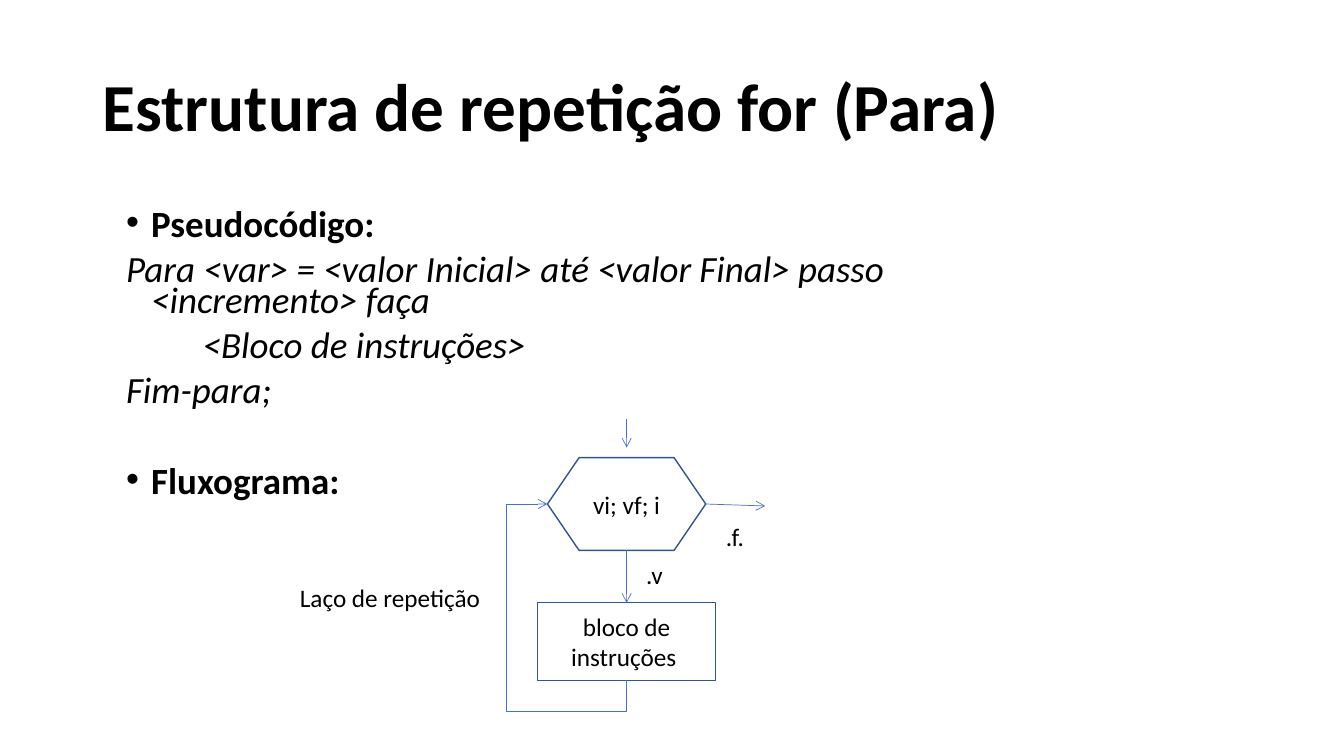
from lxml import etree
from pptx import Presentation
from pptx.dml.color import RGBColor
from pptx.enum.shapes import MSO_CONNECTOR, MSO_SHAPE
from pptx.enum.text import MSO_ANCHOR, MSO_AUTO_SIZE, PP_ALIGN
from pptx.oxml.ns import qn
from pptx.util import Inches, Pt

STRAIGHT, ELBOW = MSO_CONNECTOR.STRAIGHT, MSO_CONNECTOR.ELBOW
HEXAGON = MSO_SHAPE.FLOWCHART_PREPARATION
RECTANGLE, ROUNDED = MSO_SHAPE.RECTANGLE, MSO_SHAPE.ROUNDED_RECTANGLE
LEFT, CENTER, RIGHT = PP_ALIGN.LEFT, PP_ALIGN.CENTER, PP_ALIGN.RIGHT
TOP, MIDDLE = MSO_ANCHOR.TOP, MSO_ANCHOR.MIDDLE
SIDE_TOP, SIDE_LEFT, SIDE_BOTTOM, SIDE_RIGHT = range(4)

# Content
FONT = "Calibri"
COLORS = {"text": "000000", "fill": "FFFFFF", "outline": "325491", "arrow": "4472C4"}
TITLE = "Estrutura de repetição for (Para)"
# text, kind, left margin, first-line indent (inches), space before (points)
BODY = [
    ("Pseudocódigo:", "heading", 0.25, -0.25, 10),
    ("Para <var> = <valor Inicial> até <valor Final> passo <incremento> faça",
     "code", 0.25, -0.25, 10),
    ("<Bloco de instruções>", "code", 0.76, 0, 10),
    ("Fim-para;", "code", 0.25, -0.25, 10),
    ("Fluxograma:", "heading", 0.25, -0.25, 42.5),
]
LABELS = [(".v", 6.31, 5.5, 0.5, 0.5), (".f.", 7.1, 5.12, 0.52, 0.5)]

# Layout in inches
WIDTH, HEIGHT = 13.33, 7.5
AXIS = 6.215
TEST_TOP, TEST_WIDTH, TEST_HEIGHT = 4.54, 1.57, 0.92
BLOCK_TOP, BLOCK_WIDTH, BLOCK_HEIGHT = 5.98, 1.77, 0.77
LOOP_LEFT, LOOP_BOTTOM = 5.02, 7.06


def color(name):
    return RGBColor.from_string(COLORS[name])


def place(shape, left, top, width, height):
    shape.left, shape.top = Inches(left), Inches(top)
    shape.width, shape.height = Inches(width), Inches(height)


def write(para, text, size, align=LEFT, bold=False, italic=False):
    para.text = text
    para.alignment = align
    for span in para.runs:
        font = span.font
        font.name, font.size = FONT, Pt(size)
        font.bold, font.italic = bold, italic
        font.color.rgb = color("text")


def add_box(page, kind, text, left, top, width, height, align=CENTER, outlined=True):
    box = page.shapes.add_shape(kind, *map(Inches, (left, top, width, height)))
    box.shadow.inherit = False
    box.fill.solid()
    box.fill.fore_color.rgb = color("fill")
    if outlined:
        box.line.color.rgb = color("outline")
        box.line.width = Pt(1)
    else:
        box.line.fill.background()
    box.text_frame.word_wrap = True
    box.text_frame.vertical_anchor = MIDDLE
    write(box.text_frame.paragraphs[0], text, 18, align)
    return box


def add_arrow(page, kind, start, end):
    arrow = page.shapes.add_connector(kind, *map(Inches, start + end))
    arrow.line.color.rgb = color("arrow")
    arrow.line.width = Pt(0.5)
    etree.SubElement(arrow.line._get_or_add_ln(), qn("a:tailEnd"), type="arrow")
    etree.SubElement(arrow._element.spPr, qn("a:effectLst"))
    return arrow


def add_loop(page, block, test):
    """Four-part elbow, turned a quarter, from below the block back to the test."""
    start = AXIS, BLOCK_TOP + BLOCK_HEIGHT
    end = AXIS - TEST_WIDTH / 2, TEST_TOP + TEST_HEIGHT / 2
    loop = add_arrow(page, ELBOW, start, end)
    loop.begin_connect(block, SIDE_BOTTOM)
    loop.end_connect(test, SIDE_LEFT)
    across, rise = start[0] - end[0], start[1] - end[1]
    middle_x, middle_y = (start[0] + end[0]) / 2, (start[1] + end[1]) / 2
    place(loop, middle_x - rise / 2, middle_y - across / 2, rise, across)
    frame = loop._element.spPr.find(qn("a:xfrm"))
    frame.attrib.pop("flipV", None)
    frame.set("rot", "5400000")
    frame.set("flipH", "1")
    geometry = loop._element.spPr.find(qn("a:prstGeom"))
    geometry.set("prst", "bentConnector4")
    guides = geometry.find(qn("a:avLst"))
    bends = (start[1] - LOOP_BOTTOM) / rise, (start[0] - LOOP_LEFT) / across
    for number, bend in enumerate(bends, 1):
        etree.SubElement(guides, qn("a:gd"), name=f"adj{number}",
                         fmla=f"val {round(bend * 100000)}")


def add_title(page):
    title = page.shapes.title
    place(title, 0.92, 0.36, 11.5, 1.45)
    title.text_frame.auto_size = MSO_AUTO_SIZE.NONE
    title.text_frame.vertical_anchor = MIDDLE
    para = title.text_frame.paragraphs[0]
    write(para, TITLE, 48, bold=True)
    para.line_spacing = 0.9


def add_body(page):
    body = page.placeholders[1]
    place(body, 1.15, 2.06, 9.61, 3.15)
    frame = body.text_frame
    frame.auto_size = MSO_AUTO_SIZE.NONE
    frame.vertical_anchor = TOP
    frame.text = "\n".join(row[0] for row in BODY)
    for para, (text, kind, margin, indent, before) in zip(frame.paragraphs, BODY):
        heading = kind == "heading"
        write(para, text, 26.4, bold=heading, italic=not heading)
        para.line_spacing = 0.7
        para.space_before = Pt(before)
        para.space_after = Pt(0)
        settings = para._p.get_or_add_pPr()
        settings.set("marL", str(Inches(margin)))
        settings.set("indent", str(Inches(indent)))
        if heading:
            etree.SubElement(settings, qn("a:buFont"), typeface="Arial")
            etree.SubElement(settings, qn("a:buChar"), char="•")
        else:
            etree.SubElement(settings, qn("a:buNone"))


def add_flowchart(page):
    test = add_box(page, HEXAGON, "vi; vf; i", AXIS - TEST_WIDTH / 2, TEST_TOP,
                   TEST_WIDTH, TEST_HEIGHT)
    block = add_box(page, RECTANGLE, "bloco de instruções ", AXIS - BLOCK_WIDTH / 2,
                    BLOCK_TOP, BLOCK_WIDTH, BLOCK_HEIGHT)
    down = add_arrow(page, STRAIGHT, (AXIS, TEST_TOP + TEST_HEIGHT), (AXIS, BLOCK_TOP))
    down.begin_connect(test, SIDE_BOTTOM)
    down.end_connect(block, SIDE_TOP)
    add_loop(page, block, test)
    add_box(page, ROUNDED, "Laço de repetição", 2.58, 5.31, 2.34, 1.23, RIGHT, False)
    leave = add_arrow(page, STRAIGHT, (7, 5), (7.59, 5.02))
    leave.begin_connect(test, SIDE_RIGHT)
    add_arrow(page, STRAIGHT, (AXIS, 4.16), (AXIS, 4.44))
    for text, *bounds in LABELS:
        label = page.shapes.add_textbox(*map(Inches, bounds))
        label.text_frame.word_wrap = False
        write(label.text_frame.paragraphs[0], text, 18)


def main():
    deck = Presentation()
    deck.slide_width, deck.slide_height = Inches(WIDTH), Inches(HEIGHT)
    page = deck.slides.add_slide(deck.slide_layouts[1])
    add_title(page)
    add_body(page)
    add_flowchart(page)
    deck.save("out.pptx")


if __name__ == "__main__":
    main()
